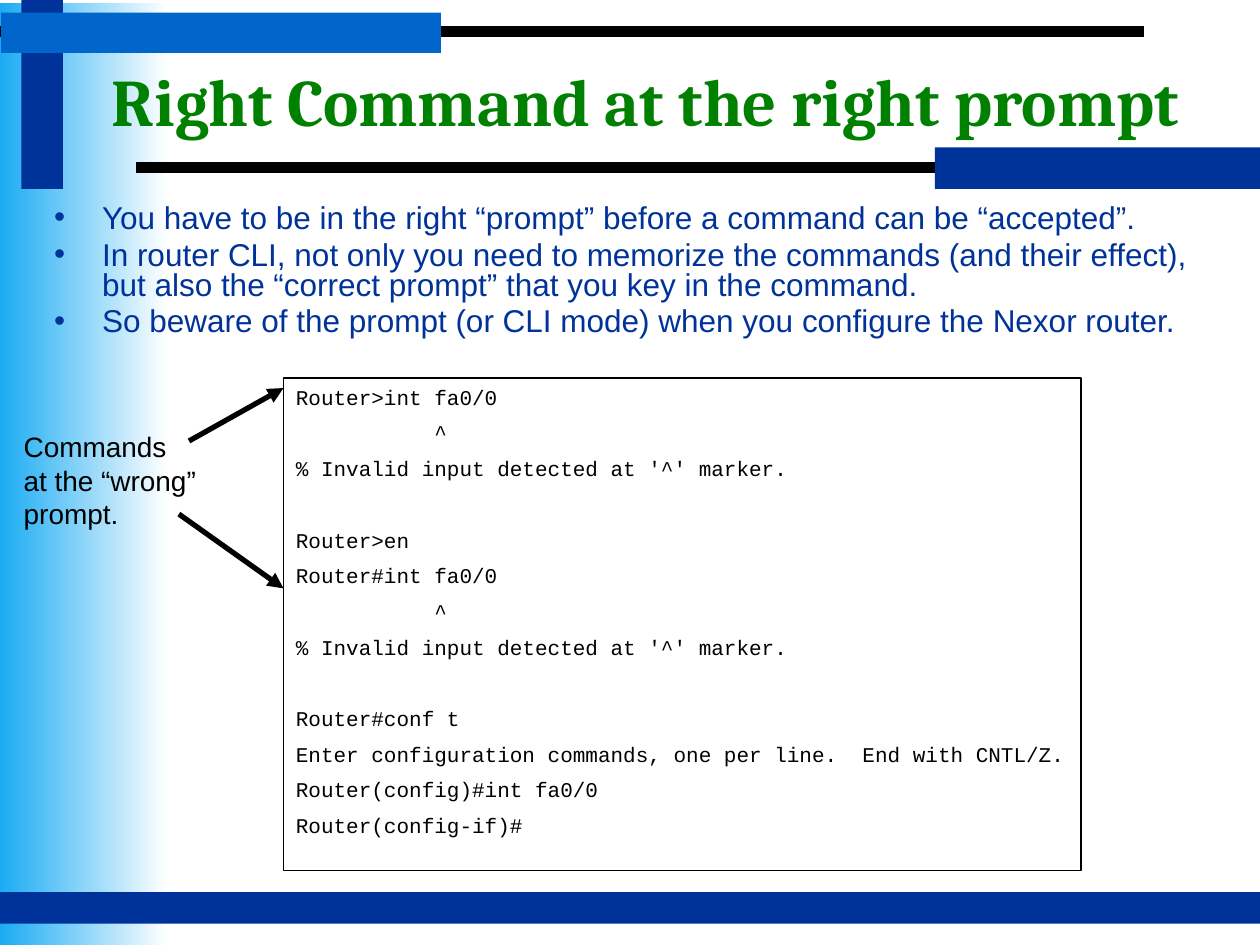
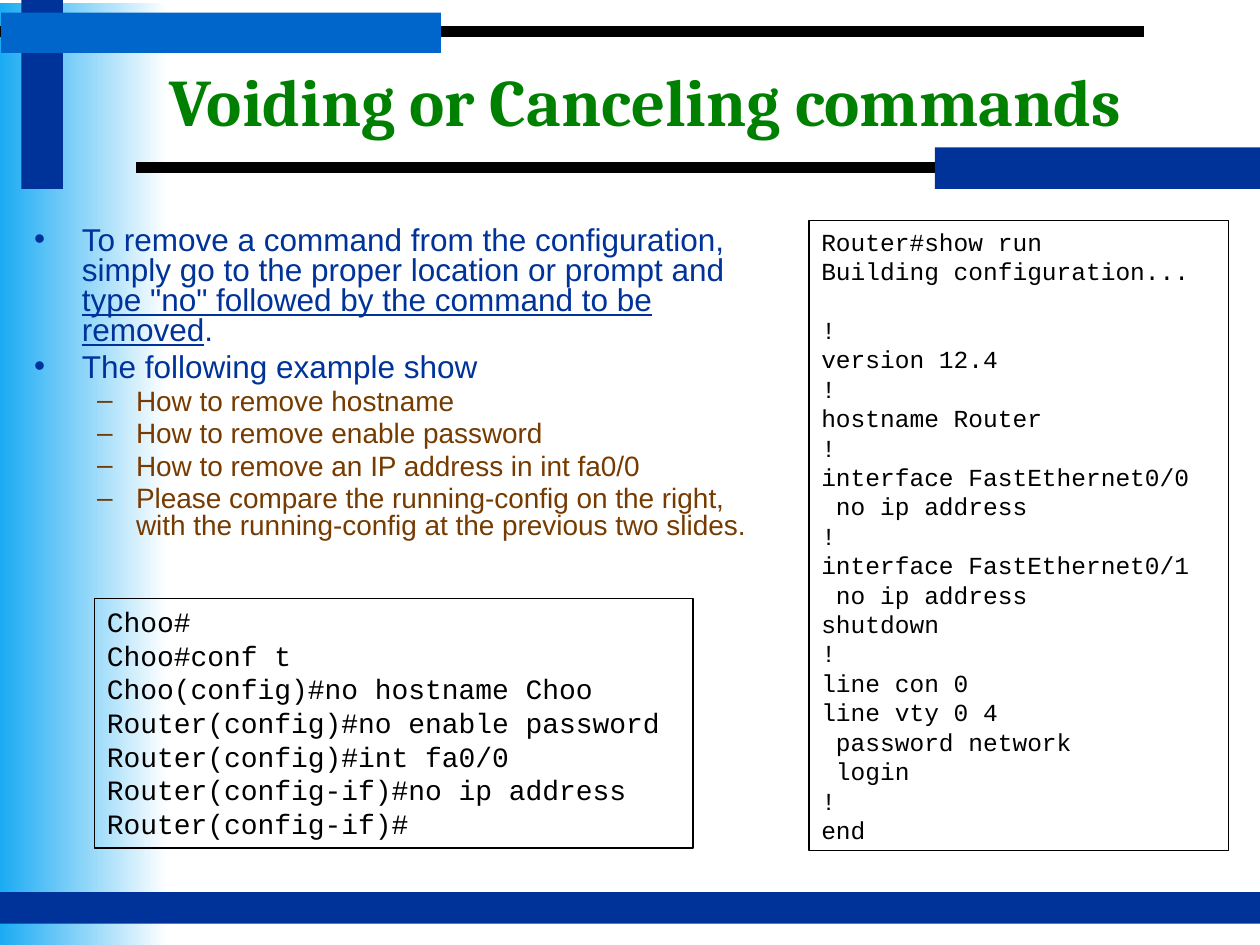
from lxml import etree
from pptx import Presentation
from pptx.dml.color import RGBColor
from pptx.enum.shapes import MSO_CONNECTOR, MSO_SHAPE
from pptx.enum.text import MSO_ANCHOR, MSO_AUTO_SIZE, PP_ALIGN
from pptx.oxml.ns import qn
from pptx.util import Inches, Pt

RECT = MSO_SHAPE.RECTANGLE
LINE = MSO_CONNECTOR.STRAIGHT
TOP, MIDDLE = MSO_ANCHOR.TOP, MSO_ANCHOR.MIDDLE
CENTER = PP_ALIGN.CENTER
FIXED = MSO_AUTO_SIZE.NONE

NAVY = RGBColor(0x00, 0x33, 0x99)
BLUE = RGBColor(0x00, 0x66, 0xCC)
SKY = RGBColor(0x1B, 0xAB, 0xF3)
GREEN = RGBColor(0x00, 0x80, 0x00)
BROWN = RGBColor(0x76, 0x3B, 0x00)
BLACK = RGBColor(0x00, 0x00, 0x00)
WHITE = RGBColor(0xFF, 0xFF, 0xFF)

HEAD = {"name": "Cambria", "size": Pt(38), "bold": True, "color": GREEN}
NOTE = {"name": "Arial", "size": Pt(16), "color": BLACK}
# One entry per list level: bullet, left edge, hanging indent, font
LEVELS = [
    ("•", 0.38, 0.38, {"name": "Arial", "size": Pt(18), "color": NAVY}),
    ("–", 0.81, 0.31, {"name": "Arial", "size": Pt(16), "color": BROWN}),
]
LEAD = 1.2  # line height of plain text, in font sizes

PROMPT = """Router>int fa0/0
           ^
% Invalid input detected at '^' marker.

Router>en
Router#int fa0/0
           ^
% Invalid input detected at '^' marker.

Router#conf t
Enter configuration commands, one per line.  End with CNTL/Z.
Router(config)#int fa0/0
Router(config-if)#"""

CANCEL = """Choo#
Choo#conf t
Choo(config)#no hostname Choo
Router(config)#no enable password
Router(config)#int fa0/0
Router(config-if)#no ip address
Router(config-if)#"""

CONFIG = """Router#show run
Building configuration...

!
version 12.4
!
hostname Router
!
interface FastEthernet0/0
 no ip address
!
interface FastEthernet0/1
 no ip address
shutdown
!
line con 0
line vty 0 4
 password network
 login
!
end"""


def style(font, form):
    for key, value in form.items():
        if key == "color":
            font.color.rgb = value
        else:
            setattr(font, key, value)


def write(para, text, form):
    run = para.add_run()
    run.text = text
    style(run.font, form)
    return run


def place(shape, box):
    names = ("left", "top", "width", "height")
    for name, value in zip(names, box):
        setattr(shape, name, Inches(value))


def paras(frame, items):
    """Pair each item with its own paragraph."""
    for i, item in enumerate(items):
        yield i, item, frame.add_paragraph() if i else frame.paragraphs[0]


def bar(slide, box, color=None):
    shape = slide.shapes.add_shape(RECT, *map(Inches, box))
    shape.shadow.inherit = False
    shape.line.fill.background()
    if color is None:
        shape.fill.gradient()
        shape.fill.gradient_angle = 0
        for stop, tint in zip(shape.fill.gradient_stops, (SKY, WHITE)):
            stop.color.rgb = tint
        for stop, spot in zip(shape.fill.gradient_stops, (0, 1)):
            stop.position = spot
    else:
        shape.fill.solid()
        shape.fill.fore_color.rgb = color
    return shape


def rule(slide, start, end, width, arrow=False):
    line = slide.shapes.add_connector(LINE, *map(Inches, start + end))
    line.line.color.rgb = BLACK
    line.line.width = Pt(width)
    props = line.element.spPr
    if arrow:
        etree.SubElement(props.find(qn("a:ln")), qn("a:tailEnd"), type="triangle")
    etree.SubElement(props, qn("a:effectLst"))
    return line


def frame_art(slide, layout):
    """Draw the shared bands and move them behind the layout's placeholders."""
    parts = [
        bar(slide, (0, 0.02, 1.33, 7.48)),
        rule(slide, (1.08, 1.33), (10, 1.33), 6),
        rule(slide, (0, 0.25), (9.08, 0.25), 6),
        bar(slide, (0.17, 0, 0.33, 1.5), NAVY),
        bar(slide, (0.01, 0.1, 3.49, 0.32), BLUE),
        bar(slide, (7.42, 1.17, 2.58, 0.33), NAVY),
        bar(slide, (0, 7.08, 10, 0.25), NAVY),
    ]
    tree = layout.shapes.element
    for i, part in enumerate(parts):
        tree.insert(2 + i, part.element)


def title(slide, text):
    shape = slide.shapes.title
    place(shape, (0.5, 0.33, 9.25, 0.92))
    frame = shape.text_frame
    frame.auto_size = FIXED
    frame.vertical_anchor = MIDDLE
    para = frame.paragraphs[0]
    para.alignment = CENTER
    write(para, text, HEAD)


def points(slide, box, items):
    """Fill the body; every second part of an item is underlined."""
    shape = slide.placeholders[1]
    place(shape, box)
    frame = shape.text_frame
    frame.auto_size = FIXED
    frame.vertical_anchor = TOP
    for i, (level, *parts), para in paras(frame, items):
        mark, left, hang, form = LEVELS[level]
        para.level = level
        para.line_spacing = 0.8
        para.space_before = Pt(0.2 * form["size"].pt if i else 0)
        props = para._p.get_or_add_pPr()
        props.set("marL", str(Inches(left)))
        props.set("indent", str(-Inches(hang)))
        etree.SubElement(props, qn("a:buChar"), char=mark)
        for k, part in enumerate(parts):
            run = write(para, part, form)
            if k % 2:
                run.font.underline = True


def text_box(slide, box, wrap):
    shape = slide.shapes.add_textbox(*map(Inches, box))
    shape.text_frame.word_wrap = wrap
    shape.text_frame.auto_size = FIXED
    return shape


def code(slide, box, text, size, space=0):
    """Framed listing; an empty line becomes space before the next one."""
    shape = text_box(slide, box, True)
    shape.line.color.rgb = BLACK
    shape.line.width = Pt(0.75)
    form = {"name": "Courier New", "size": Pt(size), "color": BLACK}
    rows, gaps = [], set()
    for row in text.split("\n"):
        if row:
            rows.append(row)
        else:
            gaps.add(len(rows))
    for i, row, para in paras(shape.text_frame, rows):
        extra = LEAD * size + space if i in gaps else 0
        para.space_before = Pt(space + extra if i else 0)
        write(para, row, form)


def label(slide, box, rows):
    shape = text_box(slide, box, False)
    for _, row, para in paras(shape.text_frame, rows):
        write(para, row, NOTE)


def prompt_slide(slide):
    title(slide, "Right Command at the right prompt")
    points(slide, (0.33, 1.58, 9.33, 1.25), [
        (0, "You have to be in the right “prompt” before a command can be “accepted”."),
        (0, "In router CLI, not only you need to memorize the commands (and their "
            "effect), but also the “correct prompt” that you key in the command."),
        (0, "So beware of the prompt (or CLI mode) when you configure the Nexor router."),
    ])
    code(slide, (2.25, 3, 6.33, 3.91), PROMPT, 12, 6)
    # Note with arrows to the two failed commands
    label(slide, (0.09, 3.36, 1.57, 0.9), ["Commands", "at the “wrong”", "prompt."])
    rule(slide, (1.5, 3.5), (2.25, 3.08), 3, True)
    rule(slide, (1.42, 4.08), (2.25, 4.67), 3, True)


def cancel_slide(slide):
    title(slide, "Voiding or Canceling commands")
    points(slide, (0.17, 1.75, 5.92, 3.08), [
        (0, "To remove a command from the configuration, simply go to the proper "
            "location or prompt and ",
            'type "no" followed by the command to be removed', "."),
        (0, "The following example show"),
        (1, "How to remove hostname"),
        (1, "How to remove enable password"),
        (1, "How to remove an IP address in int fa0/0"),
        (1, "Please compare the running-config on the right, with the "
            "running-config at the previous two slides."),
    ])
    code(slide, (0.75, 4.75, 4.75, 1.98), CANCEL, 16)
    code(slide, (6.42, 1.75, 3.33, 5), CONFIG, 14)


def main():
    deck = Presentation()
    deck.slide_width, deck.slide_height = Inches(10), Inches(7.5)
    layout = deck.slide_layouts[1]
    first = deck.slides.add_slide(layout)
    frame_art(first, layout)
    prompt_slide(first)
    cancel_slide(deck.slides.add_slide(layout))
    deck.save("out.pptx")


if __name__ == "__main__":
    main()
